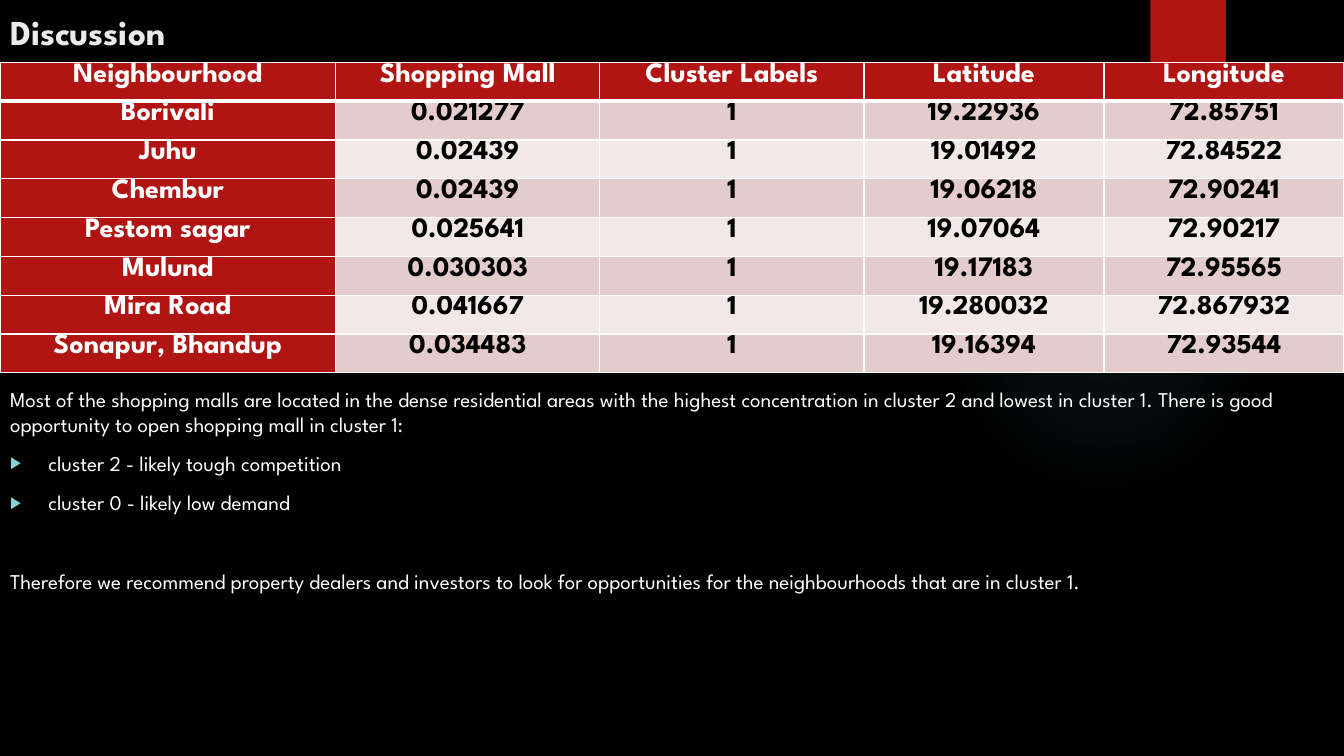
from lxml import etree
from pptx import Presentation
from pptx.dml.color import RGBColor
from pptx.enum.shapes import MSO_SHAPE
from pptx.enum.text import MSO_ANCHOR, MSO_AUTO_SIZE, PP_ALIGN
from pptx.oxml import parse_xml
from pptx.oxml.ns import nsdecls, qn
from pptx.util import Inches, Pt

FONT = "League Spartan"
COLORS = {
    "background": "000000", "red": "B01513", "glow": "50B9C1",
    "bullet": "8AD0D6", "title": "EBEBEB", "white": "FFFFFF",
    "black": "000000", "band_dark": "E4CCCC", "band_light": "F2E8E7",
}
COLUMN_WIDTHS = [3.33, 2.62, 2.62, 2.38, 2.38]
ROWS = [
    ["Neighbourhood", "Shopping Mall", "Cluster Labels", "Latitude", "Longitude"],
    ["Borivali", "0.021277", "1", "19.22936", "72.85751"],
    ["Juhu", "0.02439", "1", "19.01492", "72.84522"],
    ["Chembur", "0.02439", "1", "19.06218", "72.90241"],
    ["Pestom sagar", "0.025641", "1", "19.07064", "72.90217"],
    ["Mulund", "0.030303", "1", "19.17183", "72.95565"],
    ["Mira Road", "0.041667", "1", "19.280032", "72.867932"],
    ["Sonapur, Bhandup", "0.034483", "1", "19.16394", "72.93544"],
]
# text, bulleted, space before in points
DISCUSSION = [
    ("Most of the shopping malls are located in the dense residential areas with "
     "the highest concentration in cluster 2 and lowest in cluster 1. There is good "
     "opportunity to open shopping mall in cluster 1:", False, 10),
    ("cluster 2 - likely tough competition", True, 10),
    ("cluster 0 - likely low demand", True, 10),
    ("Therefore we recommend property dealers and investors to look for "
     "opportunities for the neighbourhoods that are in cluster 1.", False, 38),
]


def rgb(name):
    return RGBColor.from_string(COLORS[name])


def write(p, text, size, color="white", bold=False, align=PP_ALIGN.LEFT, before=0):
    p.alignment = align
    p.space_before = Pt(before)
    r = p.add_run()
    r.text = text
    r.font.name = FONT
    r.font.size = Pt(size)
    r.font.bold = bold
    r.font.color.rgb = rgb(color)


def place(sp, left, top, width, height):
    sp.left, sp.top = Inches(left), Inches(top)
    sp.width, sp.height = Inches(width), Inches(height)


def set_bullet(p, bulleted):
    pPr = p._p.get_or_add_pPr()
    indent = Inches(0.38) if bulleted else 0
    pPr.set("marL", str(indent))
    pPr.set("indent", str(-indent))
    if not bulleted:
        etree.SubElement(pPr, qn("a:buNone"))
        return
    color = etree.SubElement(pPr, qn("a:buClr"))
    etree.SubElement(color, qn("a:srgbClr"), val=COLORS["bullet"])
    etree.SubElement(pPr, qn("a:buSzPct"), val="80000")
    etree.SubElement(pPr, qn("a:buChar"), char="▶")


def add_backdrop(s, shape_type, box, index):
    """Add a borderless shape behind the placeholders."""
    sp = s.shapes.add_shape(shape_type, *map(Inches, box))
    sp.shadow.inherit = False
    sp.line.fill.background()
    s.shapes._spTree.insert(2 + index, sp._element)
    return sp


def add_glow(s):
    sp = add_backdrop(s, MSO_SHAPE.OVAL, (9.41, 1.83, 3.08, 3.08), 0)
    stops = "".join(
        f'<a:gs pos="{pos * 1000}"><a:srgbClr val="{COLORS["glow"]}">'
        f'<a:alpha val="{alpha * 1000}"/></a:srgbClr></a:gs>'
        for pos, alpha in [(0, 7), (36, 6), (69, 0)])
    gradient = parse_xml(
        f'<a:gradFill {nsdecls("a")}><a:gsLst>{stops}</a:gsLst><a:path path="circle">'
        '<a:fillToRect l="50000" t="50000" r="50000" b="50000"/></a:path></a:gradFill>')
    sp._element.spPr.find(qn("a:prstGeom")).addnext(gradient)


def add_ribbon(s):
    sp = add_backdrop(s, MSO_SHAPE.RECTANGLE, (11.41, 0, 0.75, 1.25), 1)
    sp.fill.solid()
    sp.fill.fore_color.rgb = rgb("red")
    effects = sp._element.spPr.find(qn("a:effectLst"))
    shadow = etree.SubElement(effects, qn("a:outerShdw"), blurRad=str(Pt(3)),
                              dist=str(Pt(2)), dir="5400000", rotWithShape="0")
    color = etree.SubElement(shadow, qn("a:srgbClr"), val=COLORS["black"])
    etree.SubElement(color, qn("a:alpha"), val="45000")


def set_borders(cell, bottom):
    tcPr = cell._tc.get_or_add_tcPr()
    for index, (side, width) in enumerate(
            [("L", 1), ("R", 1), ("T", 1), ("B", bottom)]):
        tcPr.insert(index, parse_xml(
            f'<a:ln{side} {nsdecls("a")} w="{Pt(width)}"><a:solidFill>'
            f'<a:srgbClr val="{COLORS["white"]}"/></a:solidFill></a:ln{side}>'))


def add_neighbourhood_table(s):
    frame = s.shapes.add_table(len(ROWS), len(COLUMN_WIDTHS), Inches(0), Inches(0.62),
                               Inches(13.33), Inches(3.08))
    table = frame.table
    for column, width in zip(table.columns, COLUMN_WIDTHS):
        column.width = Inches(width)
    for i, values in enumerate(ROWS):
        for j, value in enumerate(values):
            cell = table.cell(i, j)
            heading = i == 0 or j == 0
            band = "band_dark" if i % 2 else "band_light"
            cell.fill.solid()
            cell.fill.fore_color.rgb = rgb("red" if heading else band)
            cell.margin_left = cell.margin_right = Inches(0.07)
            cell.margin_top = cell.margin_bottom = 0
            set_borders(cell, bottom=3 if i == 0 else 1)
            write(cell.text_frame.paragraphs[0], value, 20, bold=True,
                  color="white" if heading else "black", align=PP_ALIGN.CENTER)


def fill_title(sp):
    place(sp, 0, 0, 13.33, 0.62)
    tf = sp.text_frame
    tf.auto_size = MSO_AUTO_SIZE.NONE
    tf.vertical_anchor = MSO_ANCHOR.MIDDLE
    write(tf.paragraphs[0], "Discussion", 25, color="title", bold=True)


def fill_discussion(sp):
    place(sp, 0, 3.78, 13.33, 2.24)
    tf = sp.text_frame
    tf.auto_size = MSO_AUTO_SIZE.NONE
    tf.vertical_anchor = MSO_ANCHOR.TOP
    for i, (text, bulleted, before) in enumerate(DISCUSSION):
        p = tf.add_paragraph() if i else tf.paragraphs[0]
        write(p, text, 15, before=before)
        set_bullet(p, bulleted)


def main():
    prs = Presentation()
    prs.slide_width, prs.slide_height = Inches(13.33), Inches(7.5)
    s = prs.slides.add_slide(prs.slide_layouts[1])
    s.background.fill.solid()
    s.background.fill.fore_color.rgb = rgb("background")
    add_glow(s)
    add_ribbon(s)
    fill_title(s.shapes.title)
    fill_discussion(s.placeholders[1])
    add_neighbourhood_table(s)
    prs.save("out.pptx")


if __name__ == "__main__":
    main()
